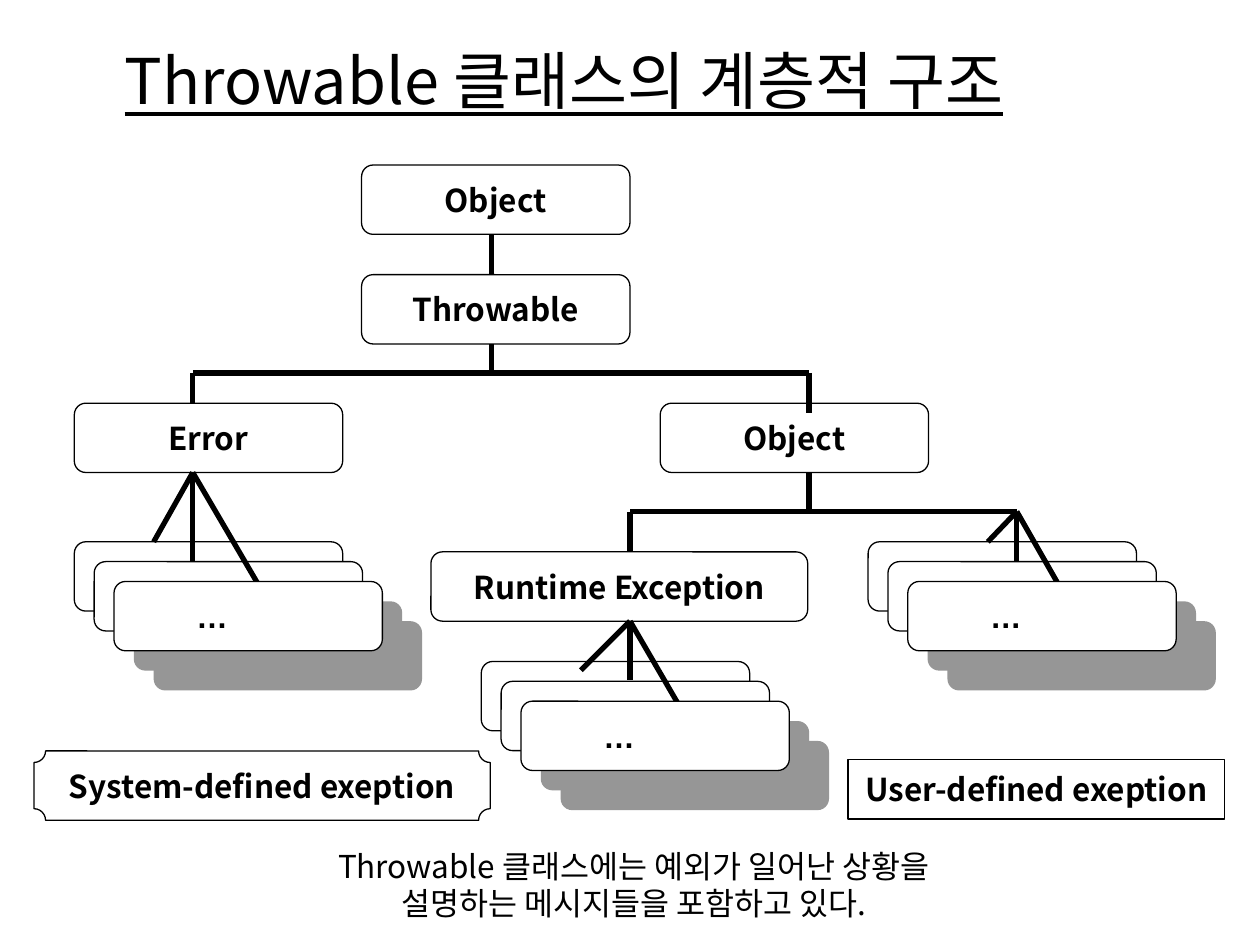
from typing import NamedTuple

from lxml.etree import SubElement
from pptx import Presentation
from pptx.dml.color import RGBColor
from pptx.enum.shapes import MSO_CONNECTOR as Link, MSO_SHAPE as Kind
from pptx.enum.text import MSO_ANCHOR as Anchor, MSO_AUTO_SIZE as Fit, PP_ALIGN as Align
from pptx.oxml.ns import qn
from pptx.util import Inches, Pt

COLORS = {"ink": "000000", "paper": "FFFFFF", "shade": "969696"}
FONT = "Noto Sans CJK KR"
WIDTH, HEIGHT = 2.13, 0.55
STEP = 0.63 / 4  # shift between neighbouring cards of a stack


class Box(NamedTuple):
    text: str
    x: float
    y: float
    w: float = WIDTH
    h: float = HEIGHT
    kind: Kind = Kind.ROUNDED_RECTANGLE


class Line(NamedTuple):
    x1: float
    y1: float
    x2: float
    y2: float


class Stack(NamedTuple):
    x: float
    y: float
    fan: tuple[Line, ...]


BOXES = [
    Box("Object", 2.87, 1.31),
    Box("Throwable", 2.87, 2.18),
    Box("Object", 5.24, 3.2),
    Box("Error", 0.59, 3.2),
    Box("Runtime Exception", 3.42, 4.38, w=2.99),
    Box("System-defined exeption", 0.27, 5.96, w=3.62, kind=Kind.PLAQUE),
    Box("User-defined exeption", 6.73, 6.03, w=2.99, h=0.47, kind=Kind.RECTANGLE),
]

TREE = [
    Line(3.9, 1.86, 3.9, 2.18),
    Line(3.9, 2.73, 3.9, 2.96),
    Line(1.53, 2.96, 6.42, 2.96),
    Line(1.53, 2.96, 1.53, 3.2),
    Line(6.42, 2.96, 6.42, 3.28),
    Line(6.42, 3.75, 6.42, 4.06),
    Line(5, 4.06, 8.07, 4.06),
    Line(5, 4.06, 5, 4.38),
]


def fan(x: float, y: float, *ends: tuple[float, float]) -> tuple[Line, ...]:
    """Lines that spread from one point."""
    return tuple(Line(x, y, *end) for end in ends)


STACKS = [
    Stack(0.59, 4.3, fan(1.53, 3.75, (1.53, 4.46), (1.22, 4.3), (2.08, 4.69))),
    Stack(6.89, 4.3, fan(8.07, 4.06, (8.07, 4.46), (7.84, 4.3), (8.39, 4.62))),
    Stack(3.82, 5.25, fan(5, 4.93, (5, 5.4), (4.61, 5.32), (5.46, 5.72))),
]


def color(name: str) -> RGBColor:
    return RGBColor.from_string(COLORS[name])


def write(shape, text: str, *, size=18, font=FONT, bold=False, underline=False,
          anchor=Anchor.MIDDLE, fit=Fit.NONE, right=0.1) -> None:
    """Fill a shape with centred text, one paragraph a line."""
    frame = shape.text_frame
    frame.word_wrap = False
    frame.auto_size = fit
    frame.vertical_anchor = anchor
    frame.margin_left, frame.margin_right = Inches(0.1), Inches(right)
    frame.margin_top = frame.margin_bottom = Inches(0.05)
    frame.text = text
    for para in frame.paragraphs:
        para.alignment = Align.CENTER
        for run in para.runs:
            face = run.font
            face.size, face.name = Pt(size), font
            face.bold, face.underline = bold, underline
            face.color.rgb = color("ink")
            SubElement(run._r.get_or_add_rPr(), qn("a:ea"), typeface=font)


def draw_box(slide, box: Box, fill: str | None = None, edge: bool = True):
    place = map(Inches, (box.x, box.y, box.w, box.h))
    shape = slide.shapes.add_shape(box.kind, *place)
    shape.shadow.inherit = False
    if fill:
        shape.fill.solid()
        shape.fill.fore_color.rgb = color(fill)
    else:
        shape.fill.background()
    if edge:
        shape.line.color.rgb = color("ink")
        shape.line.width = Pt(0.75)
    else:
        shape.line.fill.background()
    if box.text:
        write(shape, box.text, bold=True)
    return shape


def draw_line(slide, line: Line) -> None:
    link = slide.shapes.add_connector(Link.STRAIGHT, *map(Inches, line))
    link.line.color.rgb = color("ink")
    link.line.width = Pt(3)
    SubElement(link._element.spPr, qn("a:effectLst"))


def draw_stack(slide, stack: Stack) -> None:
    """Two shades, two cards, the fan of lines, then the front card."""
    cards = [Box("", stack.x + i * STEP, stack.y + i * STEP) for i in range(5)]
    for card in cards[3:]:
        draw_box(slide, card, "shade", edge=False)
    for card in cards[:2]:
        draw_box(slide, card, "paper")
    for line in stack.fan:
        draw_line(slide, line)
    front = draw_box(slide, cards[2], "paper")
    write(front, "…", font="Arial", bold=True, right=0.67)


def main() -> None:
    deck = Presentation()
    deck.slide_width, deck.slide_height = Inches(10), Inches(7.5)
    slide = deck.slides.add_slide(deck.slide_layouts[5])

    title = slide.shapes.title
    title.left, title.top = Inches(0.67), Inches(0.28)
    title.width, title.height = Inches(7.61), Inches(0.7)
    write(title, "Throwable 클래스의 계층적 구조", size=36, underline=True,
          anchor=Anchor.TOP, fit=Fit.SHAPE_TO_FIT_TEXT)

    for box in BOXES:
        draw_box(slide, box)
    for line in TREE:
        draw_line(slide, line)
    for stack in STACKS:
        draw_stack(slide, stack)

    place = map(Inches, (2.41, 6.67, 5.24, 0.7))
    note = slide.shapes.add_textbox(*place)
    write(note, "Throwable 클래스에는 예외가 일어난 상황을\n설명하는 메시지들을 포함하고 있다.",
          anchor=Anchor.TOP, fit=Fit.SHAPE_TO_FIT_TEXT)

    deck.save("out.pptx")


if __name__ == "__main__":
    main()
